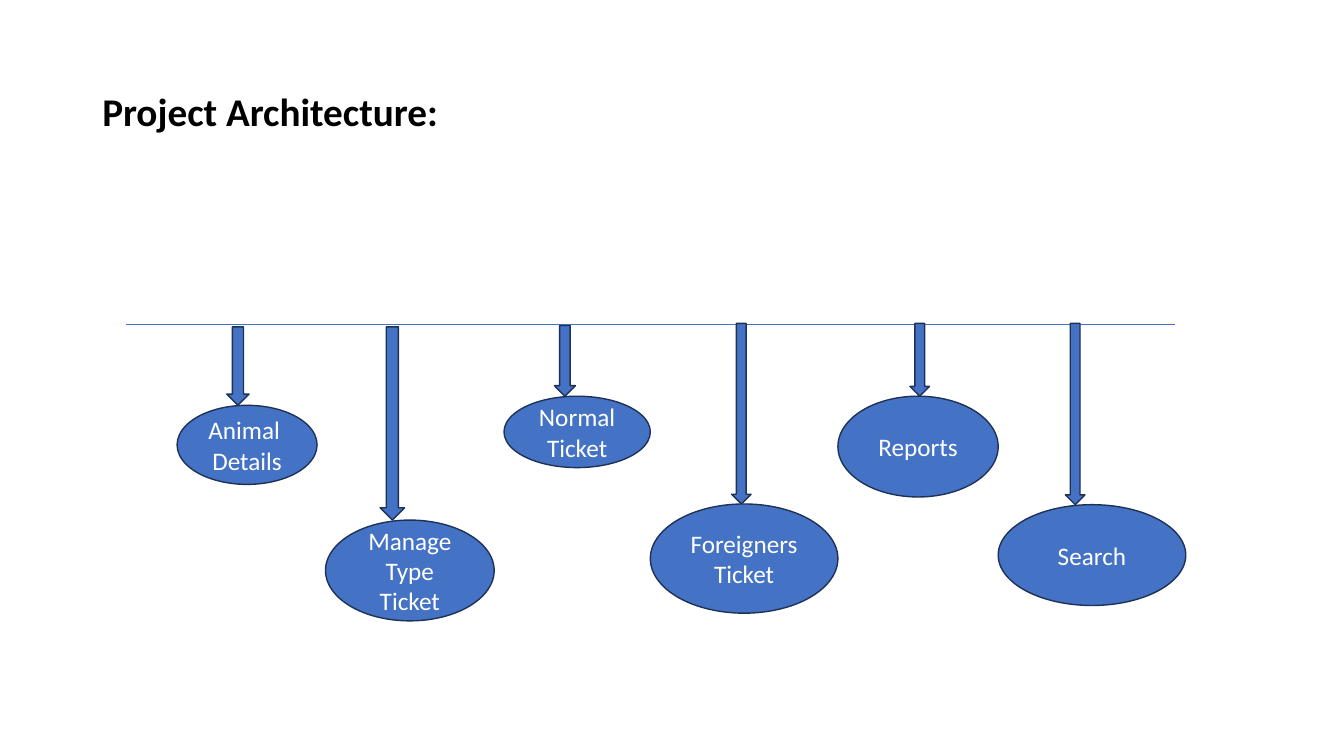
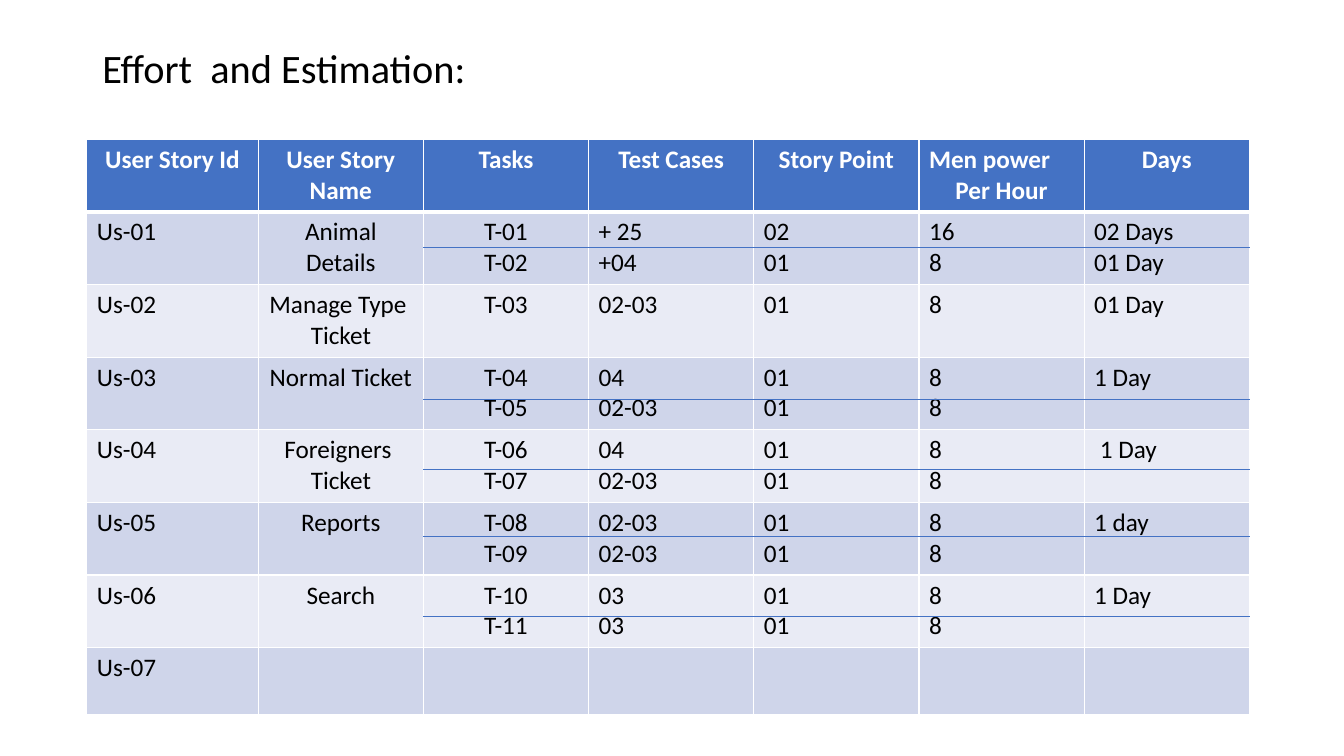
from lxml import etree
from pptx import Presentation
from pptx.dml import color
from pptx.enum import shapes, text
from pptx.oxml import ns
from pptx.util import Pt

BLUE, EDGE, WHITE, BLACK = "4472C4", "1E3256", "FFFFFF", "000000"
BANDS = ["E9EBF5", "CFD5EA"]
FONT = "Calibri"
MID = text.PP_ALIGN.CENTER
LEFT = text.PP_ALIGN.LEFT
KIND = shapes.MSO_SHAPE

RAIL = (90, 232, 839)
NODES = [
    ("Animal \nDetails", (126.5, 289.5, 100, 56.5), (162, 233.5, 16)),
    ("Manage Type\nTicket", (232.5, 371.5, 120.5, 72), (271.5, 233.5, 17.5)),
    ("Normal\nTicket", (360, 283, 104.5, 51), (396, 232.5, 15)),
    ("Foreigners\nTicket", (464.5, 360, 134, 78), (522.5, 231, 14)),
    ("Reports", (598.5, 283, 114.5, 72), (650, 231, 14)),
    ("Search", (713, 360.5, 134, 72), (761, 231, 14)),
]

ROWS = [
    ["User Story Id", "User Story\nName", "Tasks", "Test Cases",
     "Story Point", "Men power\nPer Hour", "Days"],
    ["Us-01", "Animal Details", "T-01\nT-02", "+ 25\n+04",
     "02\n01", "16\n8", "02 Days\n01 Day"],
    ["Us-02", "Manage Type \nTicket", "T-03", "02-03", "01", "8", "01 Day"],
    ["Us-03", "Normal Ticket", "T-04\nT-05", "04\n02-03",
     "01\n01", "8\n8", "1 Day"],
    ["Us-04", "Foreigners \nTicket", "T-06\nT-07", "04\n02-03",
     "01\n01", "8\n8", " 1 Day"],
    ["Us-05", "Reports", "T-08\nT-09", "02-03\n02-03",
     "01\n01", "8\n8", "1 day"],
    ["Us-06", "Search", "T-10\nT-11", "03\n03", "01\n01", "8\n8", "1 Day"],
    ["Us-07"] + [""] * 6,
]
WIDTHS = [122.5] + [118] * 6
HEIGHTS = [51.9] * 7 + [47.5]
SPLITS = [176.5, 285, 335, 383, 440.5]


def rgb(code):
    return color.RGBColor.from_string(code)


def put(item, style):
    for key, value in style.items():
        setattr(item, key, value)


def paint(fill, code):
    fill.solid()
    fill.fore_color.rgb = rgb(code)


def write(frame, words, ink, size=18, bold=False, **para):
    frame.text = words
    for line in frame.paragraphs:
        put(line, para)
        put(line.font, {"size": Pt(size), "bold": bold, "name": FONT})
        line.font.color.rgb = rgb(ink)
        for run in line.runs:
            put(run.font, {"size": Pt(size), "bold": bold, "name": FONT})
            run.font.color.rgb = rgb(ink)


def title(slide, words, box, size, bold=False):
    frame = slide.shapes.add_textbox(*map(Pt, box)).text_frame
    put(frame, {"word_wrap": True,
                "vertical_anchor": text.MSO_ANCHOR.MIDDLE})
    write(frame, words, BLACK, size, bold, line_spacing=0.9)


def rule(slide, left, top, right):
    line = slide.shapes.add_connector(
        shapes.MSO_CONNECTOR.STRAIGHT, Pt(left), Pt(top), Pt(right), Pt(top))
    line.line.color.rgb = rgb(BLUE)
    line.line.width = Pt(0.5)
    props = line._element.spPr
    etree.SubElement(props, ns.qn("a:effectLst"))


def block(slide, kind, box):
    shape = slide.shapes.add_shape(kind, *map(Pt, box))
    shape.shadow.inherit = False
    paint(shape.fill, BLUE)
    shape.line.color.rgb = rgb(EDGE)
    shape.line.width = Pt(1)
    return shape


def node(slide, words, oval, stem):
    left, top, width = stem
    block(slide, KIND.DOWN_ARROW, (left, top, width, oval[1] - top))
    frame = block(slide, KIND.OVAL, oval).text_frame
    put(frame, {"word_wrap": True,
                "vertical_anchor": text.MSO_ANCHOR.MIDDLE})
    write(frame, words, WHITE, alignment=MID)


def border(cell, row):
    thick = {"lnT": 3 if row == 1 else 1, "lnB": 3 if row == 0 else 1}
    props = cell._tc.get_or_add_tcPr()
    for side in ("lnL", "lnR", "lnT", "lnB"):
        line = etree.SubElement(props, ns.qn("a:" + side),
                                w=str(Pt(thick.get(side, 1))))
        fill = etree.SubElement(line, ns.qn("a:solidFill"))
        etree.SubElement(fill, ns.qn("a:srgbClr"), val=WHITE)


def grid(slide, left, top):
    box = (left, top, sum(WIDTHS), sum(HEIGHTS))
    table = slide.shapes.add_table(
        len(ROWS), len(WIDTHS), *map(Pt, box)).table
    for col, width in zip(table.columns, WIDTHS):
        col.width = Pt(width)
    for row, height in zip(table.rows, HEIGHTS):
        row.height = Pt(height)
    for i, row in enumerate(ROWS):
        head = i == 0
        for j, words in enumerate(row):
            cell = table.cell(i, j)
            border(cell, i)
            paint(cell.fill, BLUE if head else BANDS[i % 2])
            write(cell.text_frame, words, WHITE if head else BLACK, bold=head,
                  alignment=MID if head or j in (1, 2) else LEFT)
    table.cell(0, 5).text_frame.paragraphs[0].alignment = LEFT


def main():
    deck = Presentation()
    put(deck, {"slide_width": Pt(960), "slide_height": Pt(540)})
    blank = deck.slide_layouts[6]

    plan = deck.slides.add_slide(blank)
    title(plan, "Project Architecture:", (66, 29, 828, 104.5), 28, True)
    rule(plan, *RAIL)
    for item in NODES:
        node(plan, *item)

    cost = deck.slides.add_slide(blank)
    title(cost, "Effort  and Estimation:", (66, 29, 279, 43), 28.8)
    grid(cost, 62, 99.5)
    for top in SPLITS:
        rule(cost, 302.5, top, 893)

    deck.save("out.pptx")


if __name__ == "__main__":
    main()
